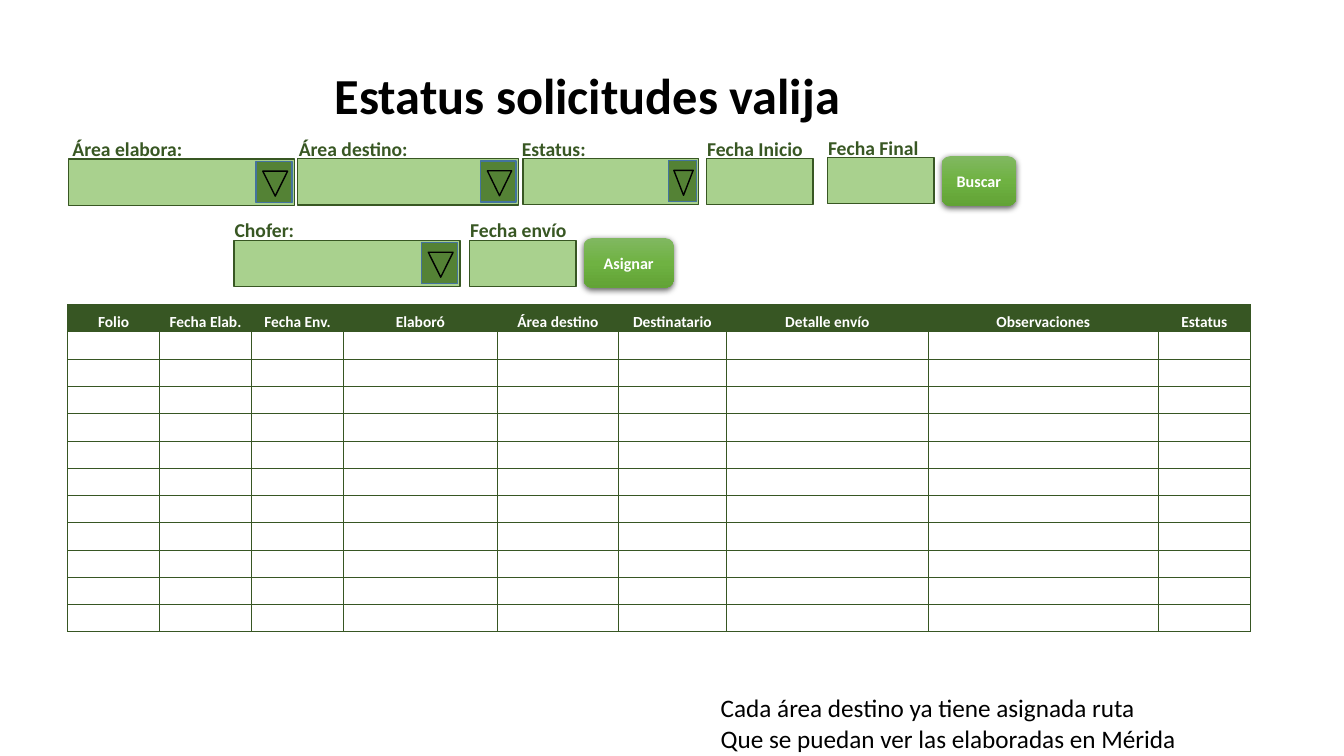
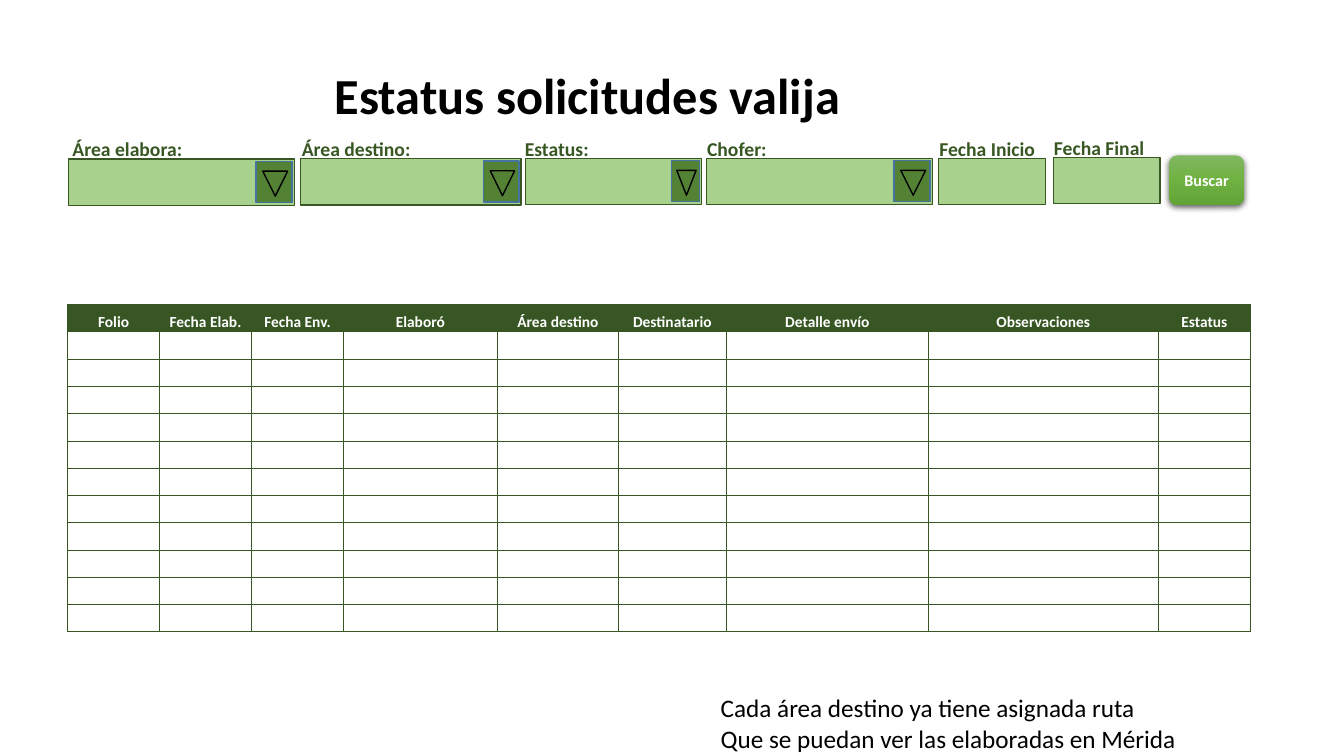
"""Build the two request-status slides on a grid of 160 columns by 90 rows."""
from copy import deepcopy
from dataclasses import dataclass

from lxml.etree import SubElement
from pptx import Presentation
from pptx.dml.color import RGBColor
from pptx.enum.shapes import MSO_SHAPE
from pptx.enum.text import MSO_ANCHOR, MSO_AUTO_SIZE, PP_ALIGN
from pptx.oxml.ns import qn
from pptx.util import Inches, Pt

RECT, ROUND = MSO_SHAPE.RECTANGLE, MSO_SHAPE.ROUNDED_RECTANGLE
WEDGE = MSO_SHAPE.ISOSCELES_TRIANGLE
LEFT, MID = PP_ALIGN.LEFT, PP_ALIGN.CENTER
TOP, CENTER, BASE = MSO_ANCHOR.TOP, MSO_ANCHOR.MIDDLE, MSO_ANCHOR.BOTTOM
GROW, FIXED = MSO_AUTO_SIZE.SHAPE_TO_FIT_TEXT, MSO_AUTO_SIZE.NONE

COLS, ROWS = 160, 90
UNIT = Inches(1) / 12
FONT = "Calibri"
BLACK, WHITE = "000000", "FFFFFF"
DARK, HEAD, PALE, LEAF, BLUE = "385723", "375623", "A9D18E", "548235", "43739E"
SHADE = ["81B861", "6FB242", "62A336"]
TALL = 5.5
TITLE = "Estatus solicitudes valija"
NOTES = ["Cada área destino ya tiene asignada ruta",
         "Que se puedan ver las elaboradas en Mérida"]
HEADS = {"Folio": 10.95, "Fecha Elab.": 10.95, "Fecha Env.": 10.95,
         "Elaboró": 18.33, "Área destino": 14.4, "Destinatario": 12.86,
         "Detalle envío": 24.05, "Observaciones": 27.38, "Estatus": 10.95}
LINES, STEP = 12, 3.25


@dataclass(frozen=True)
class Box:
    """A rectangle in grid units."""
    left: float
    top: float
    wide: float
    tall: float

    def inner(self, left: float, top: float, wide: float, tall: float) -> "Box":
        """Return an inner box given as shares of this one."""
        return Box(self.left + left * self.wide, self.top + top * self.tall,
                   wide * self.wide, tall * self.tall)

    def place(self) -> list[int]:
        """Return left, top, width and height in EMU."""
        return [size(n) for n in (self.left, self.top, self.wide, self.tall)]


@dataclass(frozen=True)
class Field:
    """A labelled input, with or without a drop-down arrow."""
    label: str
    span: float
    wide: float
    drop: bool = False
    shift: float = 1.1


@dataclass(frozen=True)
class Spot:
    """A field and where its input starts."""
    field: Field
    left: float
    top: float


@dataclass(frozen=True)
class Button:
    """A push button."""
    label: str
    box: Box


@dataclass(frozen=True)
class Form:
    """The inputs and buttons of one slide."""
    spots: list[Spot]
    buttons: list[Button]


FROM = Field("Área elabora:", 15.6, 26.9, True, 0.7)
DEST = Field("Área destino:", 15.5, 26.3, True, 1)
STATE = Field("Estatus:", 10.1, 20.9, True, 1.3)
DRIVER = Field("Chofer:", 9.6, 26.9, True)
START = Field("Fecha Inicio", 13.9, 12.7)
END = Field("Fecha Final", 13.2, 12.7)
SENT = Field("Fecha envío", 13.9, 12.7)

FORMS = [
    Form([Spot(FROM, 8.15, 18.95), Spot(DEST, 35.4, 18.9),
          Spot(STATE, 62.25, 18.85), Spot(START, 84.1, 18.85),
          Spot(END, 98.5, 18.75), Spot(DRIVER, 27.85, 28.6),
          Spot(SENT, 55.9, 28.6)],
         [Button("Buscar", Box(112.1, 18.6, 8.9, 5.9)),
          Button("Asignar", Box(69.5, 28.35, 10.7, 5.9))]),
    Form([Spot(FROM, 8.15, 18.95), Spot(DEST, 35.75, 18.9),
          Spot(STATE, 62.6, 18.85), Spot(DRIVER, 84.1, 18.85),
          Spot(START, 111.75, 18.85), Spot(END, 125.4, 18.75)],
         [Button("Buscar", Box(139.2, 18.5, 8.9, 5.9))]),
]


def size(units: float) -> int:
    """Turn grid units into EMU."""
    return round(units * UNIT)


def tint(code: str) -> RGBColor:
    """Turn a hex string into a colour."""
    return RGBColor.from_string(code)


def node(base, tag: str, **attrs):
    """Add an XML child with attributes."""
    return SubElement(base, qn(tag), {k: str(v) for k, v in attrs.items()})


def write(frame, lines: list[str], *, pts: float = 14, color: str = BLACK,
          bold: bool = False, align=LEFT, anchor=TOP, fit=GROW) -> None:
    """Fill a text frame with formatted paragraphs."""
    frame.text = "\n".join(lines)
    frame.word_wrap, frame.auto_size = False, fit
    frame.vertical_anchor = anchor
    for para in frame.paragraphs:
        para.alignment, para.space_before = align, Pt(0)
        for run in para.runs:
            font = run.font
            font.name, font.size, font.bold = FONT, Pt(pts), bold
            font.color.rgb = tint(color)


def shape(slide, kind, box: Box, fill: str, edge: str = ""):
    """Draw a flat preset shape."""
    item = slide.shapes.add_shape(kind, *box.place())
    item.shadow.inherit = False
    item.fill.solid()
    item.fill.fore_color.rgb = tint(fill)
    if edge:
        item.line.color.rgb = tint(edge)
        item.line.width = Pt(1)
    else:
        item.line.fill.background()
    return item


def field(slide, spot: Spot) -> None:
    """Draw an input with its label and arrow."""
    kind = spot.field
    box = Box(spot.left, spot.top, kind.wide, TALL)
    label = Box(spot.left - kind.shift, spot.top - 3.2, kind.span, 4.1)
    shape(slide, RECT, box, PALE, DARK)
    if kind.drop:
        shape(slide, RECT, box.inner(0.83, 0.05, 0.16, 0.89), LEAF, BLUE)
        wedge = shape(slide, WEDGE, box.inner(0.86, 0.26, 0.11, 0.54), LEAF, BLACK)
        wedge.rotation = 180
    text = slide.shapes.add_textbox(*label.place())
    write(text.text_frame, [kind.label], color=DARK, bold=True)


def button(slide, spot: Button) -> None:
    """Draw a shaded button with a soft shadow."""
    item = shape(slide, ROUND, spot.box, SHADE[0])
    item.fill.gradient()
    item.fill.gradient_angle = 270
    props = item._element.spPr
    stops = props.find(qn("a:gradFill")).find(qn("a:gsLst"))
    stops.insert(1, deepcopy(stops[0]))
    for i, (stop, code) in enumerate(zip(item.fill.gradient_stops, SHADE)):
        stop.position = i / 2
        stop.color.rgb = tint(code)
    glow = node(props.find(qn("a:effectLst")), "a:outerShdw", blurRad=Pt(4.5),
                dist=Pt(1.5), dir=5400000, algn="ctr", rotWithShape=0)
    node(node(glow, "a:srgbClr", val=BLACK), "a:alpha", val=63000)
    write(item.text_frame, [spot.label], pts=11.5, color=WHITE, bold=True,
          align=MID, anchor=CENTER, fit=FIXED)


def border(cell) -> None:
    """Outline a table cell."""
    props = cell._tc.get_or_add_tcPr()
    for side in "LRTB":
        line = node(props, f"a:ln{side}", w=Pt(0.5))
        node(node(line, "a:solidFill"), "a:srgbClr", val=HEAD)


def grid(slide) -> None:
    """Draw the table of requests."""
    box = Box(8.05, 36.25, sum(HEADS.values()), LINES * STEP)
    table = slide.shapes.add_table(LINES, len(HEADS), *box.place()).table
    table.first_row = table.horz_banding = False
    for col, wide in zip(table.columns, HEADS.values()):
        col.width = size(wide)
    for row in table.rows:
        row.height = size(STEP)
    for cell in table.iter_cells():
        border(cell)
        cell.fill.background()
        cell.margin_left = cell.margin_right = cell.margin_top = Inches(0.01)
        cell.margin_bottom = 0
        cell.vertical_anchor = BASE
        node(cell.text_frame.paragraphs[0]._p, "a:endParaRPr", sz=1100)
    for i, head in enumerate(HEADS):
        cell = table.cell(0, i)
        cell.fill.solid()
        cell.fill.fore_color.rgb = tint(HEAD)
        write(cell.text_frame, [head], pts=11, color=WHITE, bold=True,
              align=MID, anchor=BASE, fit=None)


def frame(slide) -> None:
    """Fill the title and the notes shared by the slides."""
    title, body = slide.shapes.title, slide.placeholders[1]
    for item, box in ((title, Box(38.65, 7, 63.4, 8.5)),
                      (body, Box(84.6, 81.85, 57.2, 8.5))):
        item.left, item.top, item.width, item.height = box.place()
    write(title.text_frame, [TITLE], pts=36, bold=True)
    write(body.text_frame, NOTES, pts=18)
    for para in body.text_frame.paragraphs:
        props = para._p.get_or_add_pPr()
        props.set("marL", "0")
        props.set("indent", "0")
        node(props, "a:buNone")


def main() -> None:
    """Build and save the deck."""
    deck = Presentation()
    deck.slide_width, deck.slide_height = size(COLS), size(ROWS)
    for form in FORMS:
        slide = deck.slides.add_slide(deck.slide_layouts[1])
        frame(slide)
        grid(slide)
        for spot in form.spots:
            field(slide, spot)
        for spot in form.buttons:
            button(slide, spot)
    deck.save("out.pptx")


main()
